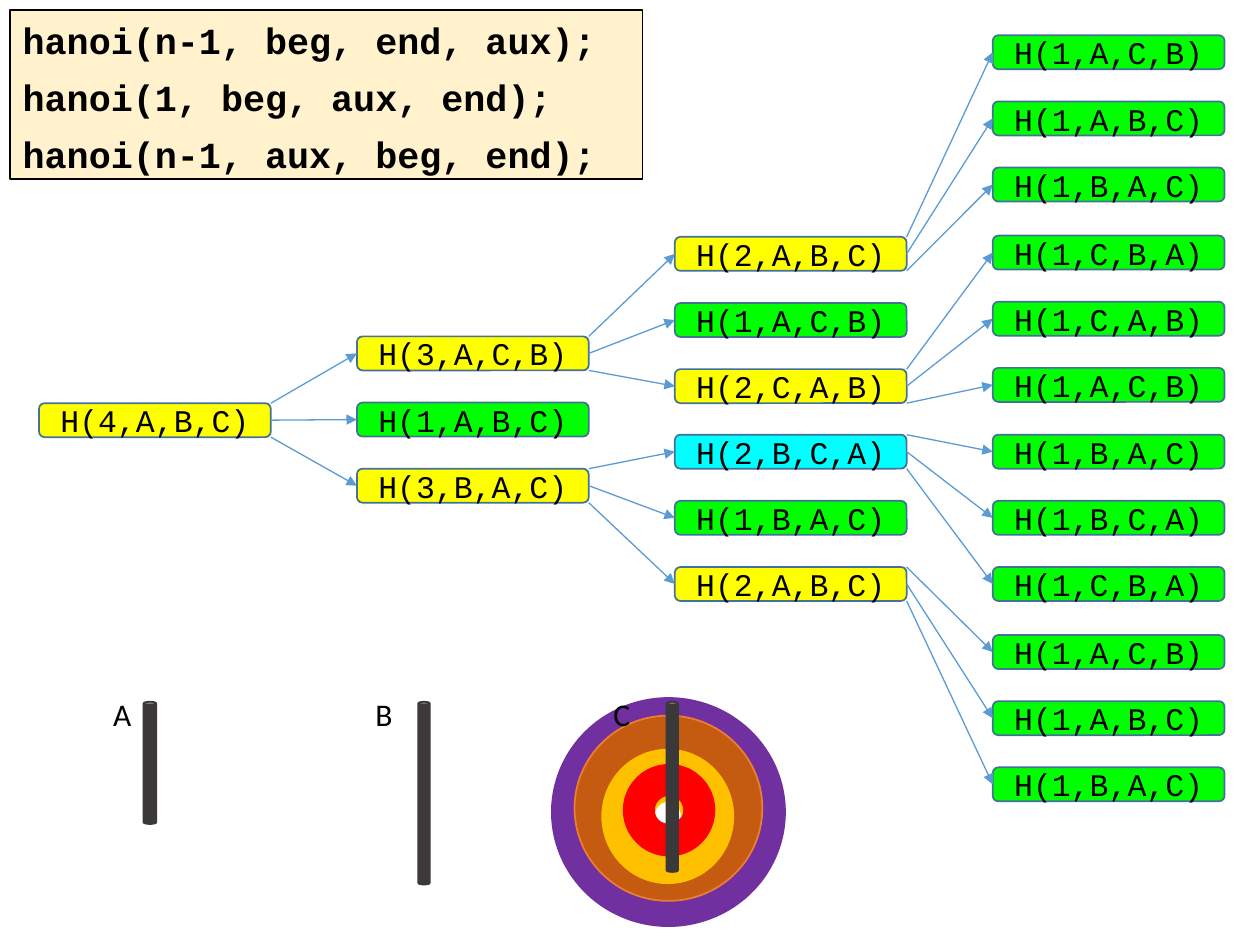
import pptx
import pptx.dml.color
import pptx.enum.shapes
import pptx.enum.text
import pptx.oxml
import pptx.oxml.ns
import pptx.util
from pptx.util import Inches

SHAPE = pptx.enum.shapes.MSO_SHAPE
COLORS = {
    "black": "000000", "yellow": "FFFF00", "green": "00FF00", "cyan": "00FFFF",
    "call edge": "42719B", "arrow": "5B9BD5", "cream": "FFF2CC", "peg": "3A3838",
    "purple": "7030A0", "brown": "C55A11", "orange": "ED7D31",
    "gold": "FFC000", "red": "FF0000",
}
CALL_FONT = {"name": "Courier New", "size": pptx.util.Pt(18)}
CODE_FONT = {"name": "Courier New", "size": pptx.util.Pt(21), "bold": True}
LABEL_FONT = {"name": "Calibri", "size": pptx.util.Pt(18)}

CODE = ["hanoi(n-1, beg, end, aux);", "hanoi(1, beg, aux, end);", "hanoi(n-1, aux, beg, end);"]

# Call tree geometry: each parent has a group of three calls one level down
CALL_WIDTH, CALL_HEIGHT = 1.84, 0.27
FIRST_LEFT, LEVEL_STEP, ROW_STEP = 0.31, 2.523, 0.525
ROOT_TOP = 3.2
GROUP_TOPS = [[2.67], [1.88, 3.45], [0.28, 1.87, 3.45, 5.04]]
CURRENT_CALL = (2, "B", "C", "A")

# left, top, width, height, ring thickness, fill, edge
DISKS = [
    (4.38, 5.54, 1.85, 1.81, 0.446, "purple", "purple"),
    (4.56, 5.68, 1.49, 1.47, 0.41, "brown", "orange"),
    (4.78, 5.95, 1.04, 1.06, 0.392, "gold", "gold"),
    (4.95, 6.07, 0.72, 0.72, 0.333, "red", "red"),
]
# name, label left, label width, peg left, peg width, peg height
PEGS = [
    ("A", 0.8, 0.39, 1.14, 0.1, 0.97),
    ("B", 2.88, 0.35, 3.32, 0.09, 1.45),
    ("C", 4.77, 0.41, 5.29, 0.09, 1.35),
]


def rgb(color):
    return pptx.dml.color.RGBColor.from_string(COLORS[color])


def paint(shape, fill, edge, width=1):
    shape.fill.solid()
    shape.fill.fore_color.rgb = rgb(fill)
    shape.line.color.rgb = rgb(edge)
    shape.line.width = pptx.util.Pt(width)


def format_font(font, values):
    for attribute, value in values.items():
        setattr(font, attribute, value)
    font.color.rgb = rgb("black")


def add_figure(slide, kind, box, fill, edge, adjustment=None):
    figure = slide.shapes.add_shape(kind, *map(Inches, box))
    figure.shadow.inherit = False
    if adjustment is not None:
        figure.adjustments[0] = adjustment
    paint(figure, fill, edge)
    return figure


def add_label(slide, name, left, width):
    label = slide.shapes.add_textbox(Inches(left), Inches(5.47), Inches(width), Inches(0.4))
    label.text_frame.word_wrap = False
    label.text_frame.auto_size = pptx.enum.text.MSO_AUTO_SIZE.SHAPE_TO_FIT_TEXT
    run = label.text_frame.paragraphs[0].add_run()
    run.text = name
    format_font(run.font, LABEL_FONT)


def add_call(slide, call, left, top):
    if call == CURRENT_CALL:
        fill = "cyan"
    else:
        fill = "yellow" if call[0] > 1 else "green"
    node = add_figure(slide, SHAPE.ROUNDED_RECTANGLE,
                      (left, top, CALL_WIDTH, CALL_HEIGHT), fill, "call edge")
    node.text_frame.vertical_anchor = pptx.enum.text.MSO_ANCHOR.MIDDLE
    paragraph = node.text_frame.paragraphs[0]
    paragraph.alignment = pptx.enum.text.PP_ALIGN.CENTER
    run = paragraph.add_run()
    run.text = "H({},{},{},{})".format(*call)
    format_font(run.font, CALL_FONT)


def add_arrow(slide, start, end):
    arrow = slide.shapes.add_connector(
        pptx.enum.shapes.MSO_CONNECTOR.STRAIGHT, *map(Inches, start + end))
    arrow.line.color.rgb = rgb("arrow")
    arrow.line.width = pptx.util.Pt(0.75)
    line = arrow.line._get_or_add_ln()
    head = pptx.oxml.parse_xml(
        f'<a:tailEnd {pptx.oxml.ns.nsdecls("a")} type="triangle"/>')
    line.append(head)
    arrow._element.spPr.append(
        pptx.oxml.parse_xml(f'<a:effectLst {pptx.oxml.ns.nsdecls("a")}/>'))


def subcalls(call):
    n, beg, aux, end = call
    return [(n - 1, beg, end, aux), (1, beg, aux, end), (n - 1, aux, beg, end)]


def add_call_tree(slide):
    root = (4, "A", "B", "C")
    add_call(slide, root, FIRST_LEFT, ROOT_TOP)
    parents = [(root, ROOT_TOP)]
    for level, group_tops in enumerate(GROUP_TOPS, start=1):
        left = FIRST_LEFT + level * LEVEL_STEP
        parent_right = left - LEVEL_STEP + CALL_WIDTH
        children = []
        for (parent, parent_top), group_top in zip(parents, group_tops):
            for row, call in enumerate(subcalls(parent)):
                top = group_top + row * ROW_STEP
                add_call(slide, call, left, top)
                add_arrow(slide, (parent_right, parent_top + row * CALL_HEIGHT / 2),
                          (left, top + CALL_HEIGHT / 2))
                children.append((call, top))
        parents = [child for child in children if child[0][0] > 1]


def add_code(slide):
    code = slide.placeholders[1]
    box = {"left": 0.08, "top": 0.08, "width": 5.02, "height": 1.44}
    for attribute, value in box.items():
        setattr(code, attribute, Inches(value))
    paint(code, "cream", "black", 0.75)
    frame = code.text_frame
    for side in ("left", "top", "right", "bottom"):
        setattr(frame, f"margin_{side}", Inches(0.1))
    frame.word_wrap = True
    frame.auto_size = pptx.enum.text.MSO_AUTO_SIZE.SHAPE_TO_FIT_TEXT
    for number, statement in enumerate(CODE):
        paragraph = frame.add_paragraph() if number else frame.paragraphs[0]
        properties = paragraph._p.get_or_add_pPr()
        properties.set("marL", str(Inches(0.25)))
        properties.set("indent", str(Inches(-0.25)))
        properties.append(pptx.oxml.parse_xml(
            f'<a:buNone {pptx.oxml.ns.nsdecls("a")}/>'))
        paragraph.line_spacing = 0.9
        paragraph.space_before = pptx.util.Pt(10 if number else 0)
        run = paragraph.add_run()
        run.text = statement
        format_font(run.font, CODE_FONT)
    paragraph.space_after = pptx.util.Pt(10)


def main():
    presentation = pptx.Presentation()
    presentation.slide_width, presentation.slide_height = Inches(10), Inches(7.5)
    slide = presentation.slides.add_slide(presentation.slide_layouts[1])
    title = slide.shapes.title._element
    title.getparent().remove(title)

    # Recursive statements
    add_code(slide)

    # Disks, then the pegs over them
    for *box, thickness, fill, edge in DISKS:
        add_figure(slide, SHAPE.DONUT, box, fill, edge, thickness)
    for name, label_left, label_width, left, width, height in PEGS:
        add_label(slide, name, label_left, label_width)
        add_figure(slide, SHAPE.CAN, (left, 5.57, width, height), "peg", "peg")

    # Calls and their arrows
    add_call_tree(slide)
    presentation.save("out.pptx")


if __name__ == "__main__":
    main()
